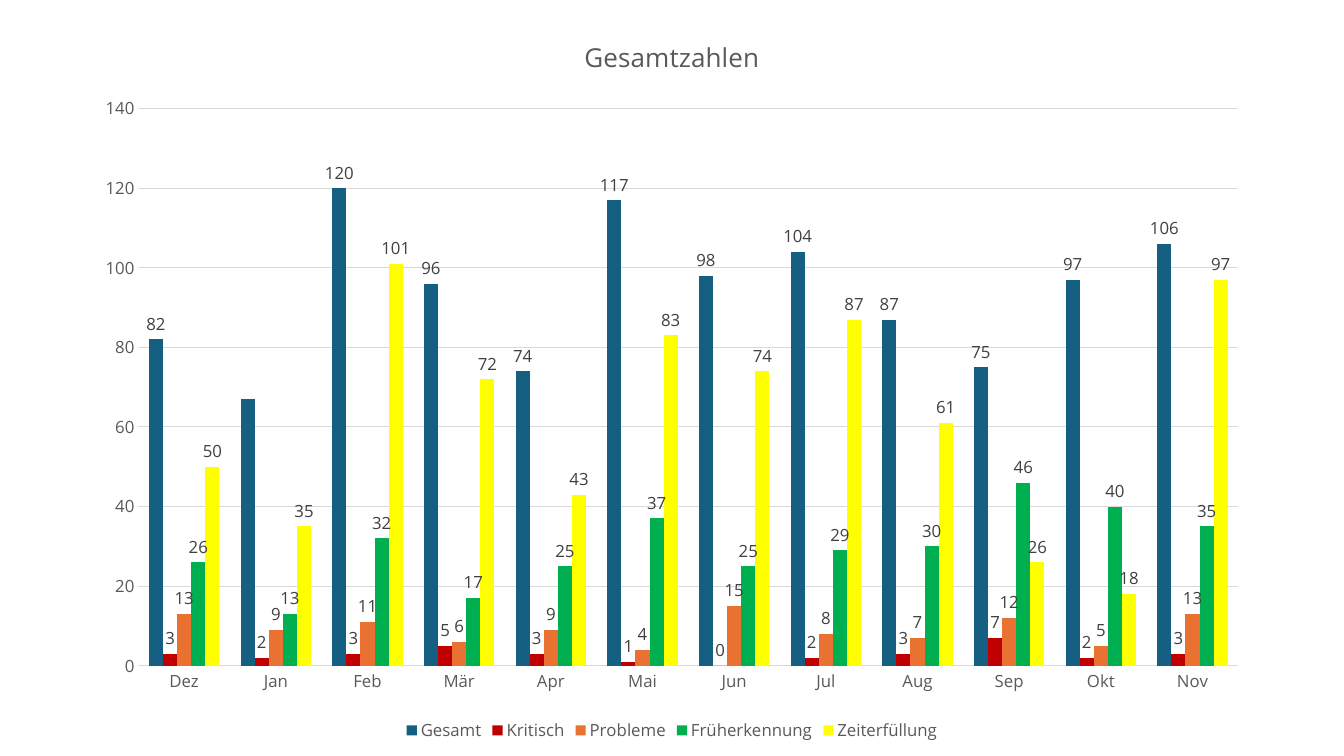
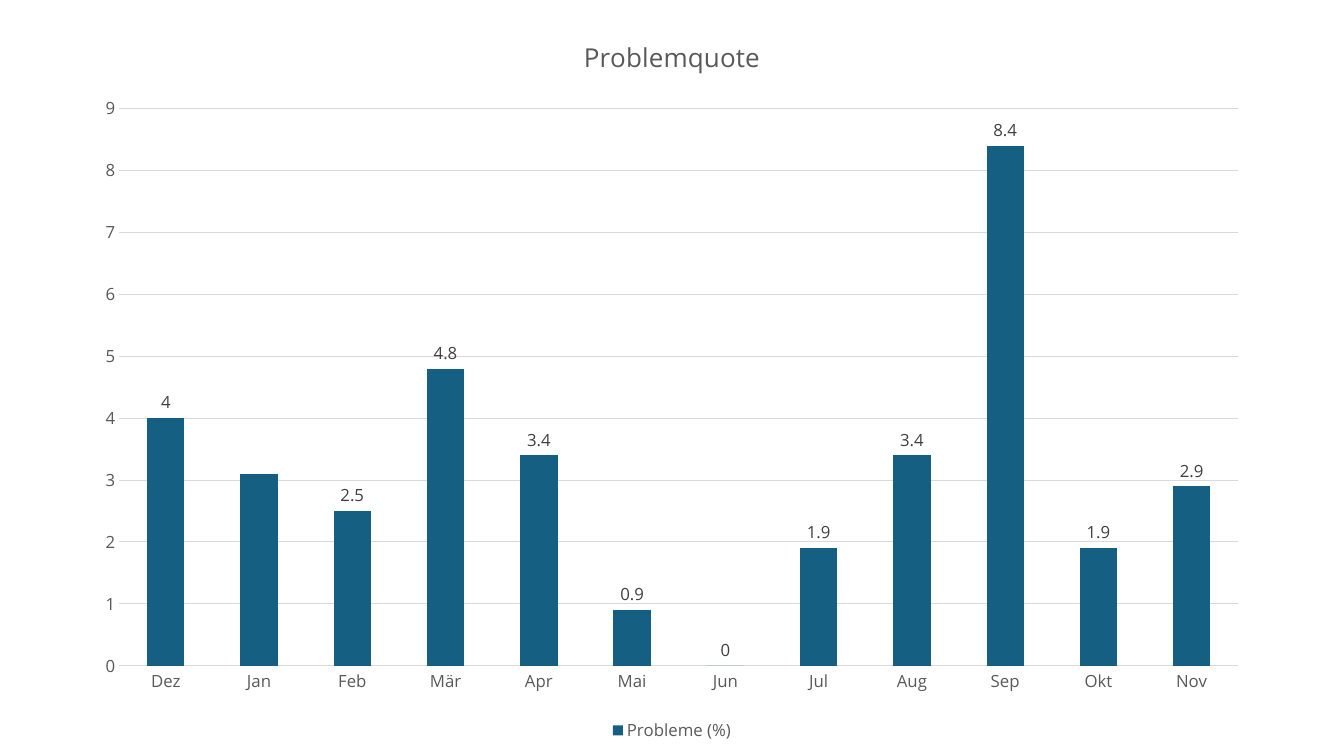
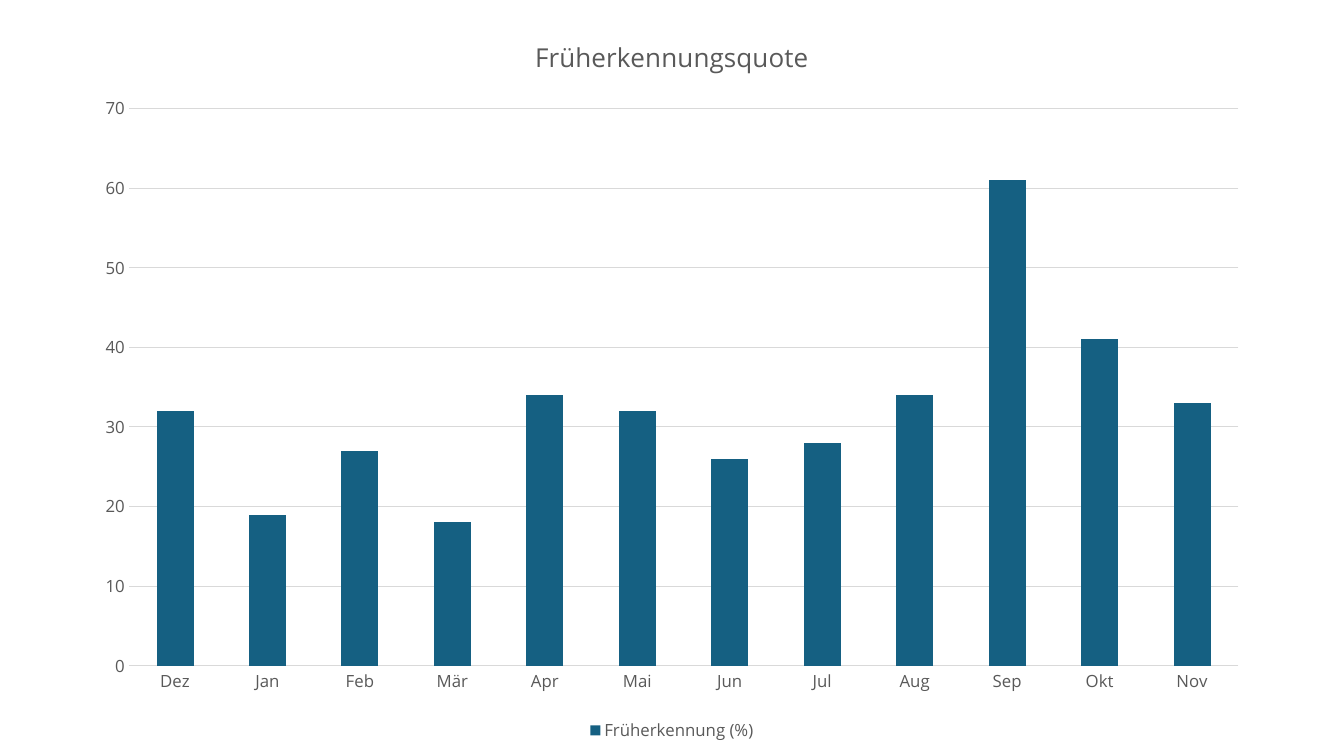
from dataclasses import dataclass

from lxml.etree import SubElement
from pptx import Presentation
from pptx.chart.data import CategoryChartData
from pptx.dml.color import RGBColor
from pptx.enum.chart import (XL_CHART_TYPE, XL_LABEL_POSITION,
                             XL_LEGEND_POSITION, XL_TICK_MARK)
from pptx.oxml.ns import qn
from pptx.util import Pt

MONTHS = ("Dez", "Jan", "Feb", "Mär", "Apr", "Mai",
          "Jun", "Jul", "Aug", "Sep", "Okt", "Nov")


@dataclass(frozen=True)
class Theme:
    """Colours and type sizes shared by all slides."""
    face: str = "Open Sans"
    text: str = "595959"
    label: str = "404040"
    rule: str = "D9D9D9"
    fills: tuple = ("156082", "C00000", "E97132", "00B050", "FFFF00")
    head: float = 18.6
    body: float = 12
    line: float = 0.75


class Deck:
    """Holds the style and the current slide."""

    def __init__(self, theme, wide=1344, high=756):
        """Open an empty deck of the given size."""
        self.theme = theme
        self.file = Presentation()
        self.file.slide_width = self.px(wide)
        self.file.slide_height = self.px(high)
        self.page = None

    def px(self, size):
        """Turn pixels into EMU."""
        return round(size * 914400 / 100.8)

    def add(self):
        """Start a new blank slide."""
        self.page = self.file.slides.add_slide(self.file.slide_layouts[6])

    def font(self, font, size=None, color=None):
        """Style a font."""
        font.name = self.theme.face
        font.size = Pt(size or self.theme.body)
        font.bold = False
        font.color.rgb = RGBColor.from_string(color or self.theme.text)

    def text(self, frame, text, **form):
        """Write text into a frame with its format."""
        run = frame.paragraphs[0].add_run()
        run.text = text
        self.font(run.font, **form)

    def rule(self, line):
        """Style a thin grey line."""
        line.color.rgb = RGBColor.from_string(self.theme.rule)
        line.width = Pt(self.theme.line)

    def axes(self, chart):
        """Style both axes and the grid."""
        for axis in (chart.category_axis, chart.value_axis):
            axis.major_tick_mark = axis.minor_tick_mark = XL_TICK_MARK.NONE
            self.font(axis.tick_labels.font)
        chart.category_axis.has_major_gridlines = False
        self.rule(chart.category_axis.format.line)
        self.rule(chart.value_axis.major_gridlines.format.line)
        chart.value_axis.format.line.fill.background()

    def labels(self, row, skip=None):
        """Show the values of a series, except for one point."""
        marks = row.data_labels
        marks.show_value = True
        marks.position = XL_LABEL_POSITION.OUTSIDE_END
        self.font(marks.font, color=self.theme.label)
        if skip is not None:
            root = row.points[skip].data_label.font and row.data_labels
            node = root._element.find(qn("c:dLbl"))
            for part in list(node)[1:]:
                node.remove(part)
            SubElement(node, qn("c:delete")).set("val", "1")

    def legend(self, chart):
        """Place the legend below the plot."""
        chart.has_legend = True
        chart.legend.position = XL_LEGEND_POSITION.BOTTOM
        chart.legend.include_in_layout = False
        self.font(chart.legend.font)

    def chart(self, title, rows, marked=True):
        """Draw a column chart with a title and a legend."""
        data = CategoryChartData()
        data.categories = MONTHS
        for name, vals in rows.items():
            data.add_series(name, vals)
        box = [self.px(size) for size in (82, 11, 1180, 735)]
        chart = self.page.shapes.add_chart(
            XL_CHART_TYPE.COLUMN_CLUSTERED, *box, data).chart
        self.font(chart.font)
        self.text(chart.chart_title.text_frame, title, size=self.theme.head)
        chart.chart_title.include_in_layout = False
        self.axes(chart)
        self.legend(chart)
        plot = chart.plots[0]
        plot.gap_width = 150
        plot.vary_by_categories = False
        for num, (row, fill) in enumerate(zip(plot.series, self.theme.fills)):
            row.format.fill.solid()
            row.format.fill.fore_color.rgb = RGBColor.from_string(fill)
            if marked:
                self.labels(row, skip=None if num else 1)


def main():
    """Build the deck."""
    deck = Deck(Theme())
    deck.add()
    deck.chart("Gesamtzahlen", {
        "Gesamt": (82, 67, 120, 96, 74, 117, 98, 104, 87, 75, 97, 106),
        "Kritisch": (3, 2, 3, 5, 3, 1, 0, 2, 3, 7, 2, 3),
        "Probleme": (13, 9, 11, 6, 9, 4, 15, 8, 7, 12, 5, 13),
        "Früherkennung": (26, 13, 32, 17, 25, 37, 25, 29, 30, 46, 40, 35),
        "Zeiterfüllung": (50, 35, 101, 72, 43, 83, 74, 87, 61, 26, 18, 97),
    })
    deck.add()
    deck.chart("Problemquote", {
        "Probleme (%)": (4, 3.1, 2.5, 4.8, 3.4, 0.9,
                         0, 1.9, 3.4, 8.4, 1.9, 2.9),
    })
    deck.add()
    deck.chart("Früherkennungsquote", {
        "Früherkennung (%)": (32, 19, 27, 18, 34, 32,
                              26, 28, 34, 61, 41, 33),
    }, marked=False)
    deck.file.save("out.pptx")


if __name__ == "__main__":
    main()
